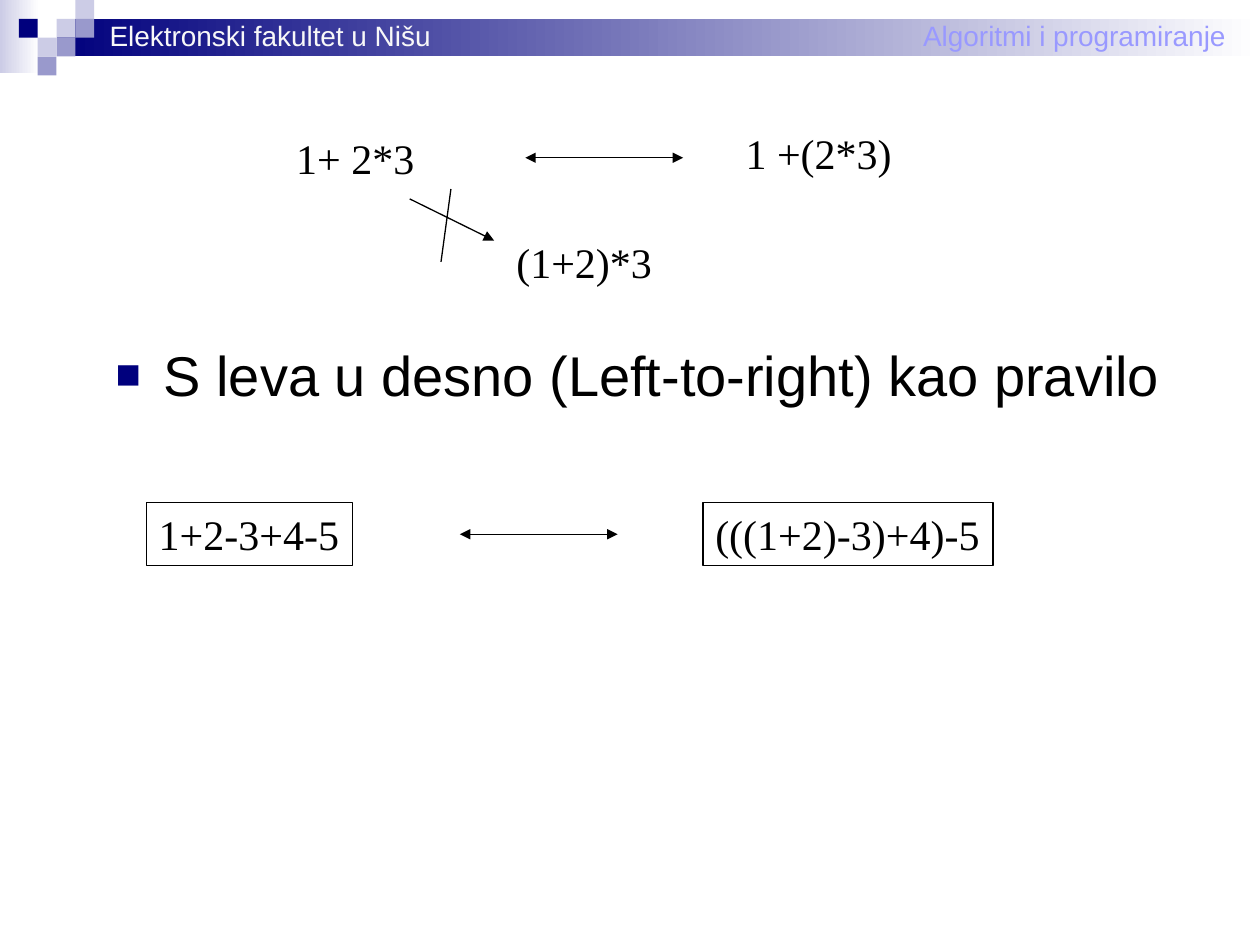
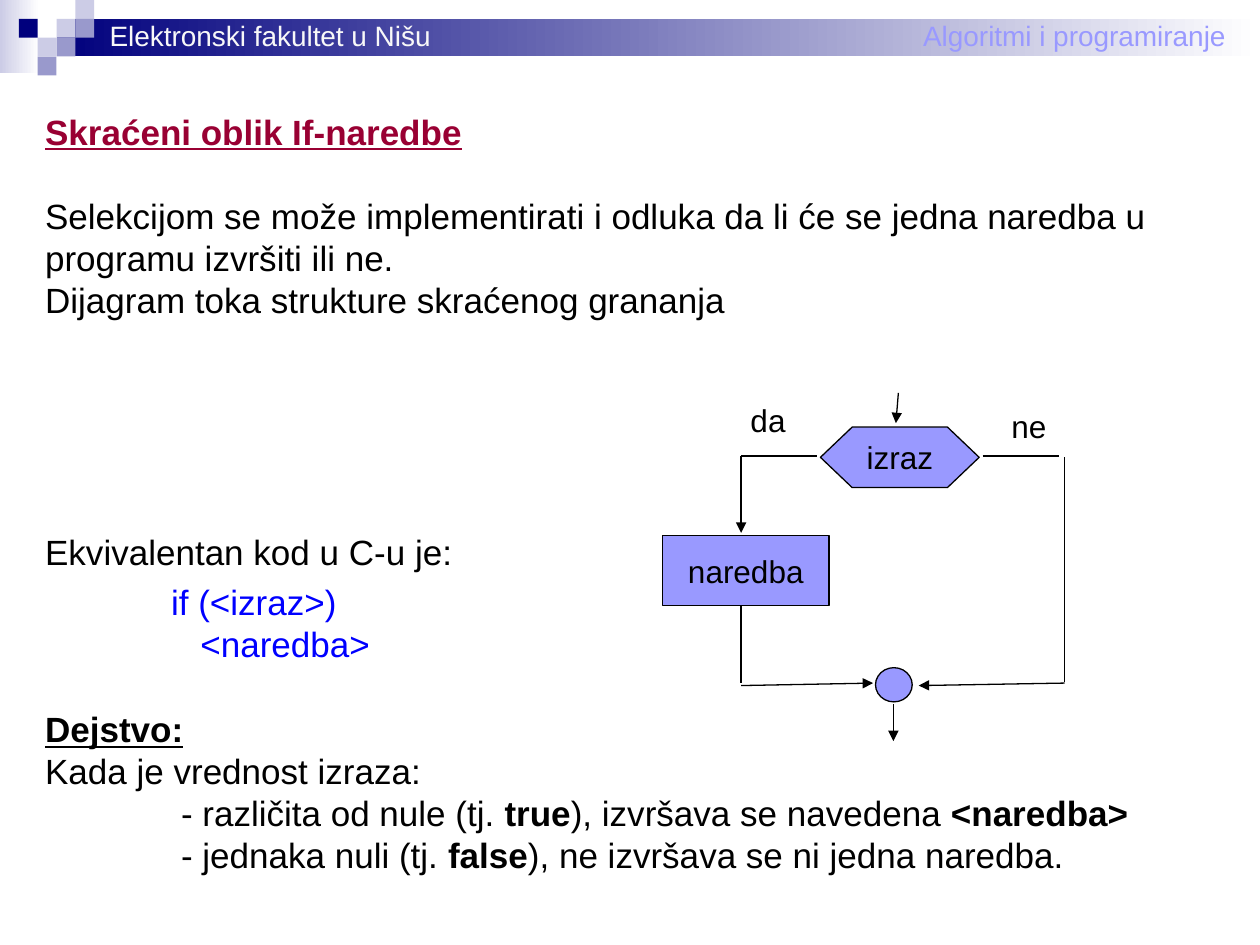
from dataclasses import dataclass
from typing import NamedTuple

import lxml.etree
import pptx
import pptx.dml.color
import pptx.enum.shapes
import pptx.enum.text
import pptx.oxml.ns
import pptx.presentation
import pptx.shapes.autoshape
import pptx.slide
import pptx.text.text
import pptx.util

Cm = pptx.util.Cm
Pt = pptx.util.Pt
Kind = pptx.enum.shapes.MSO_SHAPE
Frame = pptx.text.text.TextFrame
Slide = pptx.slide.Slide

NAVY, PALE, MID = "00007D", "CCCCE6", "9999CC"
LILAC, BLUE, RED = "9999FF", "0000FF", "990033"
BLACK, WHITE, SNOW = "000000", "FFFFFF", "F8F8F8"
SANS, SERIF = "Arial", "Times New Roman"
UNIT = 0.38
LEAD = 1.2


class Area(NamedTuple):
    left: float
    top: float
    width: float
    height: float


class Run(NamedTuple):
    text: str
    color: str = BLACK
    bold: bool = False
    under: bool = False


@dataclass
class Para:
    runs: list[Run]
    gap: float = 0
    indent: float = 0


@dataclass
class Label:
    area: Area
    text: str
    size: float = 24
    font: str = SERIF
    color: str = BLACK


@dataclass
class Node:
    kind: Kind
    area: Area
    text: str = ""


@dataclass
class Link:
    start: tuple[float, float]
    end: tuple[float, float]
    head: bool = False
    tail: bool = False


TILES = [(3, 1, PALE), (4, 0, PALE), (4, 1, MID), (2, 2, PALE),
         (1, 1, NAVY), (3, 2, MID), (2, 3, MID)]

HEADS = [
    Label(Area(18.36, 0.25, 6.65, 0.94), "Algoritmi i programiranje", 16, SANS, LILAC),
    Label(Area(1.96, 0.25, 7, 0.94), "Elektronski fakultet u Nišu", 16, SANS, SNOW),
]

SUMS = [
    Label(Area(5.72, 2.54, 2.9, 1.27), "1+ 2*3"),
    Label(Area(14.78, 2.44, 3.47, 1.27), "1 +(2*3)"),
    Label(Area(10.16, 4.65, 3.26, 1.27), "(1+2)*3"),
]

FRAMED = [
    Label(Area(2.95, 10.13, 4.16, 1.27), "1+2-3+4-5"),
    Label(Area(14.17, 10.13, 5.85, 1.27), "(((1+2)-3)+4)-5"),
]

ARROWS = [
    Link((10.59, 3.18), (13.77, 3.18), head=True, tail=True),
    Link((8.26, 4.01), (9.96, 4.85), tail=True),
    Link((9.09, 3.81), (8.89, 5.28)),
    Link((9.27, 10.77), (12.45, 10.77), head=True, tail=True),
]

BODY = [
    Para([Run("Skraćeni oblik If-naredbe", RED, True, True)]),
    Para([Run("Selekcijom se može implementirati i odluka da li će se jedna naredba u")], 24),
    Para([Run("programu izvršiti ili ne.")]),
    Para([Run("Dijagram toka strukture skraćenog grananja")]),
    Para([Run("Ekvivalentan kod u C-u je:")], 120),
    Para([Run("if (<izraz>)", BLUE)], 4.8, 2.54),
    Para([Run("<naredba>", BLUE)], 0, 3.13),
    Para([Run("Dejstvo:", BLACK, True, True)], 24.5),
    Para([Run("Kada je vrednost izraza:")]),
    Para([Run("- različita od nule (tj. "), Run("true", bold=True),
          Run("), izvršava se navedena "), Run("<naredba>", bold=True)], 0, 2.74),
    Para([Run("- jednaka nuli (tj. "), Run("false", bold=True),
          Run("), ne izvršava se ni jedna naredba.")], 0, 2.74),
]

NODES = [
    Node(Kind.FLOWCHART_PREPARATION, Area(16.54, 8.61, 3.2, 1.22), "izraz"),
    Node(Kind.FLOWCHART_PROCESS, Area(13.36, 10.8, 3.35, 1.4), "naredba"),
    Node(Kind.FLOWCHART_CONNECTOR, Area(17.65, 13.46, 0.74, 0.69)),
]

YES, NO = 14.94, 21.46
FLOW = [
    Link((16.46, 9.19), (YES, 9.19)),
    Link((YES, 9.19), (YES, 10.74), tail=True),
    Link((19.81, 9.19), (21.34, 9.19)),
    Link((YES, 12.22), (YES, 13.77)),
    Link((YES, 13.82), (17.6, 13.77), tail=True),
    Link((NO, 9.22), (NO, 13.74)),
    Link((NO, 13.77), (18.52, 13.82), tail=True),
    Link((18.01, 14.2), (18.01, 14.94), tail=True),
    Link((18.11, 7.92), (18.06, 8.53), tail=True),
]

SIGNS = [
    Label(Area(20.14, 8.08, 1.25, 1.02), "ne", 18, SANS),
    Label(Area(14.88, 7.95, 1.25, 1.02), "da", 18, SANS),
]


def tint(code: str) -> pptx.dml.color.RGBColor:
    return pptx.dml.color.RGBColor.from_string(code)


def place(area: Area) -> list[int]:
    return [Cm(side) for side in area]


def child(node: lxml.etree.ElementBase, tag: str, **attrs: str) -> lxml.etree.ElementBase:
    return lxml.etree.SubElement(node, pptx.oxml.ns.qn(tag), attrs)


def write(frame: Frame, paras: list[Para], size: float, font: str, wrap: bool = False) -> None:
    frame.word_wrap = wrap
    for index, para in enumerate(paras):
        line = frame.paragraphs[0] if index == 0 else frame.add_paragraph()
        line.line_spacing = Pt(size * LEAD)
        if para.gap:
            line.space_before = Pt(para.gap)
        if para.indent:
            line._p.get_or_add_pPr().set("marL", str(Cm(para.indent)))
        for item in para.runs:
            run = line.add_run()
            run.text = item.text
            run.font.size = Pt(size)
            run.font.name = font
            run.font.bold = item.bold
            run.font.underline = item.under
            run.font.color.rgb = tint(item.color)


def mark(line: pptx.text.text._Paragraph, char: str, color: str, hang: float) -> None:
    props = line._p.get_or_add_pPr()
    props.set("marL", str(Cm(hang)))
    props.set("indent", str(-Cm(hang)))
    child(child(props, "a:buClr"), "a:srgbClr", val=color)
    child(props, "a:buSzPct", val="75000")
    child(props, "a:buFont", typeface=SANS)
    child(props, "a:buChar", char=char)


def shape(slide: Slide, kind: Kind, area: Area, fill: str = "",
          edge: str = "") -> pptx.shapes.autoshape.Shape:
    item = slide.shapes.add_shape(kind, *place(area))
    item.shadow.inherit = False
    if fill:
        item.fill.solid()
        item.fill.fore_color.rgb = tint(fill)
    else:
        item.fill.background()
    if edge:
        item.line.color.rgb = tint(edge)
        item.line.width = Pt(0.75)
    else:
        item.line.fill.background()
    return item


def fade(slide: Slide, area: Area, color: str) -> None:
    band = shape(slide, Kind.RECTANGLE, area)
    band.fill.gradient()
    band.fill.gradient_angle = 0
    for stop, code, spot in zip(band.fill.gradient_stops, (color, WHITE), (0, 1)):
        stop.color.rgb = tint(code)
        stop.position = spot


def label(slide: Slide, item: Label, edge: str = "") -> None:
    box = slide.shapes.add_textbox(*place(item.area))
    if edge:
        box.line.color.rgb = tint(edge)
        box.line.width = Pt(0.75)
    write(box.text_frame, [Para([Run(item.text, item.color)])], item.size, item.font)
    box.text_frame.auto_size = pptx.enum.text.MSO_AUTO_SIZE.SHAPE_TO_FIT_TEXT


def node(slide: Slide, item: Node) -> None:
    box = shape(slide, item.kind, item.area, LILAC, BLACK)
    if item.text:
        frame = box.text_frame
        frame.vertical_anchor = pptx.enum.text.MSO_ANCHOR.MIDDLE
        write(frame, [Para([Run(item.text)])], 18, SANS)
        frame.paragraphs[0].alignment = pptx.enum.text.PP_ALIGN.CENTER


def link(slide: Slide, item: Link) -> None:
    ends = [Cm(side) for side in item.start + item.end]
    line = slide.shapes.add_connector(pptx.enum.shapes.MSO_CONNECTOR.STRAIGHT, *ends)
    line.line.color.rgb = tint(BLACK)
    line.line.width = Pt(0.75)
    stroke = line.line._get_or_add_ln()
    if item.head:
        child(stroke, "a:headEnd", type="triangle")
    if item.tail:
        child(stroke, "a:tailEnd", type="triangle")
    child(line._element.spPr, "a:effectLst")


def start(deck: pptx.presentation.Presentation) -> Slide:
    slide = deck.slides.add_slide(deck.slide_layouts[6])
    fade(slide, Area(0, 0, 0.79, 1.47), PALE)
    fade(slide, Area(3 * UNIT, UNIT, 25.4 - 3 * UNIT, 2 * UNIT), NAVY)
    for col, row, color in TILES:
        shape(slide, Kind.RECTANGLE, Area(col * UNIT, row * UNIT, UNIT, UNIT), color)
    for item in HEADS:
        label(slide, item)
    return slide


def order(deck: pptx.presentation.Presentation) -> None:
    slide = start(deck)
    for item in SUMS:
        label(slide, item)
    box = slide.shapes.add_textbox(*place(Area(2.08, 6.73, 21.59, 11.43)))
    rule = Para([Run("S leva u desno (Left-to-right) kao pravilo")])
    write(box.text_frame, [rule], 32, SANS, wrap=True)
    mark(box.text_frame.paragraphs[0], "■", NAVY, 0.97)
    for item in FRAMED:
        label(slide, item, BLACK)
    for item in ARROWS:
        link(slide, item)


def branch(deck: pptx.presentation.Presentation) -> None:
    slide = start(deck)
    box = slide.shapes.add_textbox(*place(Area(0.66, 2.1, 23.6, 15.67)))
    write(box.text_frame, BODY, 20, SANS, wrap=True)
    for item in NODES:
        node(slide, item)
    for item in FLOW:
        link(slide, item)
    for item in SIGNS:
        label(slide, item)


def main() -> None:
    deck = pptx.Presentation()
    deck.slide_width, deck.slide_height = Cm(25.4), Cm(19.05)
    order(deck)
    branch(deck)
    deck.save("out.pptx")


if __name__ == "__main__":
    main()
